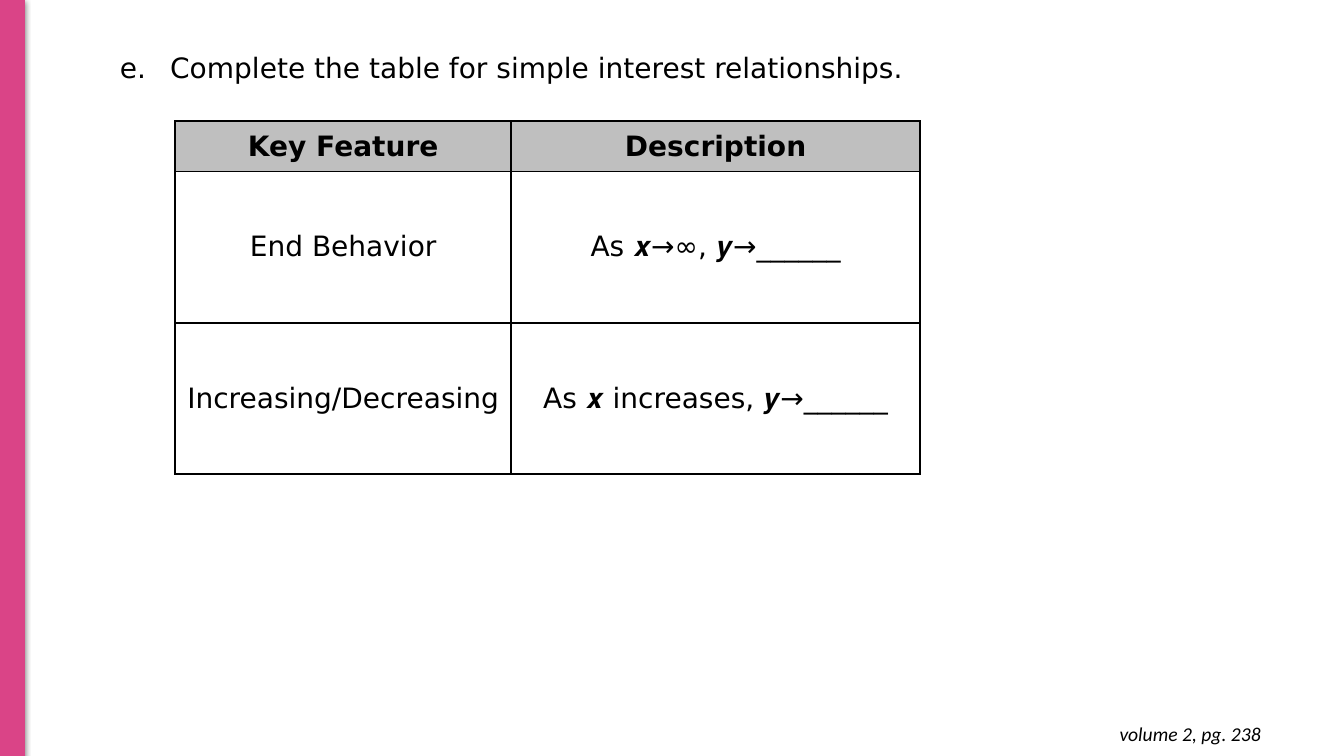
"""Build a slide with a table of key features of simple interest relationships."""
from lxml import etree
from pptx import Presentation
from pptx.dml.color import RGBColor
from pptx.enum.shapes import MSO_SHAPE
from pptx.enum.text import MSO_ANCHOR, PP_ALIGN
from pptx.oxml import parse_xml
from pptx.oxml.ns import nsdecls, qn
from pptx.util import Cm, Pt

RECT = MSO_SHAPE.RECTANGLE
MIDDLE = MSO_ANCHOR.MIDDLE
LEFT, CENTER, RIGHT = PP_ALIGN.LEFT, PP_ALIGN.CENTER, PP_ALIGN.RIGHT
PINK = RGBColor(0xDA, 0x44, 0x87)
GREY = RGBColor(0xBF, 0xBF, 0xBF)
BLACK = RGBColor(0, 0, 0)
BODY_FONT, NOTE_FONT = "DejaVu Sans", "Calibri"

QUESTION = "Complete the table for simple interest relationships."
PAGE_REF = "volume 2, pg. 238"
ROWS = [
    ("Key Feature", "Description"),
    ("End Behavior", "As 𝒙→∞, 𝒚→______"),
    ("Increasing/Decreasing", "As 𝒙 increases, 𝒚→______"),
]
COL_WIDTHS = (8.46, 10.31)
ROW_HEIGHTS = (1.27, 3.81, 3.81)


def write(tf, text, font, size, align):
    p = tf.paragraphs[0]
    p.text = text
    p.alignment = align
    p.font.name, p.font.size = font, Pt(size)
    p.font.color.rgb = BLACK
    return p


def add_text(s, box, text, font, size, align):
    tf = s.shapes.add_textbox(*map(Cm, box)).text_frame
    tf.word_wrap = True
    return tf, write(tf, text, font, size, align)


def add_borders(cell):
    tcPr = cell._tc.get_or_add_tcPr()
    for i, side in enumerate(("lnL", "lnR", "lnT", "lnB")):
        tcPr.insert(i, parse_xml(
            f'<a:{side} {nsdecls("a")} w="{Pt(1.5)}"><a:solidFill>'
            f'<a:srgbClr val="{BLACK}"/></a:solidFill></a:{side}>'))


def add_side_bar(s):
    bar = s.shapes.add_shape(RECT, 0, 0, Cm(0.61), Cm(19.07))
    bar.fill.solid()
    bar.fill.fore_color.rgb = PINK
    bar.line.color.rgb = PINK
    bar.line.width = Pt(0.75)
    bar.shadow.inherit = False
    effects = bar._element.spPr.find(qn("a:effectLst"))
    effects.append(parse_xml(
        f'<a:outerShdw {nsdecls("a")} blurRad="{Pt(4.5)}" dist="{Pt(1.5)}" dir="5400000">'
        f'<a:srgbClr val="{BLACK}"><a:alpha val="50000"/></a:srgbClr></a:outerShdw>'))


def add_feature_table(s):
    table = s.shapes.add_table(len(ROWS), len(COL_WIDTHS), Cm(4.42), Cm(3.05),
                               Cm(sum(COL_WIDTHS)), Cm(sum(ROW_HEIGHTS))).table
    table.horz_banding = False
    for col, width in zip(table.columns, COL_WIDTHS):
        col.width = Cm(width)
    for i, (row, height) in enumerate(zip(table.rows, ROW_HEIGHTS)):
        row.height = Cm(height)
        for cell, text in zip(row.cells, ROWS[i]):
            cell.vertical_anchor = MIDDLE
            cell.margin_left = cell.margin_right = Cm(0.18)
            cell.margin_top = cell.margin_bottom = Cm(0.13)
            p = write(cell.text_frame, text, BODY_FONT, 20, CENTER)
            p.font.bold = i == 0
            if i == 0:
                cell.fill.solid()
                cell.fill.fore_color.rgb = GREY
            else:
                cell.fill.background()
            add_borders(cell)


def add_question(s):
    _, p = add_text(s, (1.5, 1.14, 30.53, 1.12), QUESTION, BODY_FONT, 20, LEFT)
    pPr = p._p.get_or_add_pPr()
    pPr.set("marL", str(Cm(2.54)))
    pPr.set("indent", str(Cm(-1.27)))
    number = etree.Element(qn("a:buAutoNum"), type="alphaLcPeriod", startAt="5")
    pPr.insert(0, number)


def main():
    prs = Presentation()
    prs.slide_width, prs.slide_height = Cm(33.87), Cm(19.05)
    s = prs.slides.add_slide(prs.slide_layouts[6])
    add_side_bar(s)
    add_feature_table(s)
    tf, p = add_text(s, (24.71, 17.93, 7.32, 1.12), PAGE_REF, NOTE_FONT, 14, RIGHT)
    p.font.italic = True
    tf.margin_left = tf.margin_right = tf.margin_top = tf.margin_bottom = Cm(0.25)
    add_question(s)
    prs.save("out.pptx")


if __name__ == "__main__":
    main()
